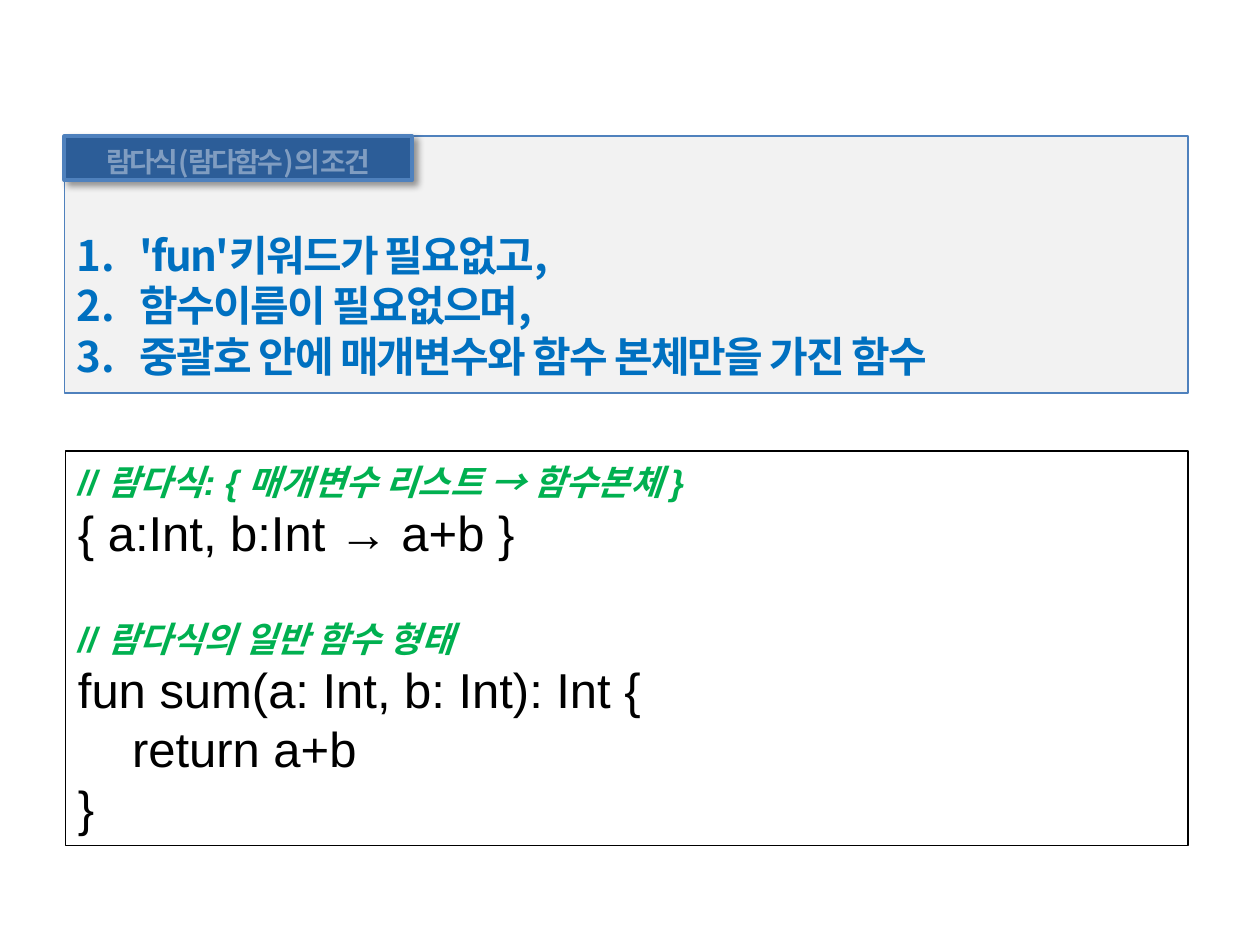
import pptx
import pptx.util
import pptx.dml.color
import pptx.enum.shapes
import pptx.enum.text
import pptx.oxml
import pptx.oxml.ns

KOREAN, LATIN = "Noto Sans CJK KR", "Arial"
ANCHOR = pptx.enum.text.MSO_ANCHOR
ALIGN = pptx.enum.text.PP_ALIGN

HEADING = "람다식(람다함수)의 조건"
CONDITIONS = [
    "'fun'키워드가 필요없고,",
    "함수이름이 필요없으며,",
    "중괄호 안에 매개변수와 함수 본체만을 가진 함수",
]
# text, is a comment, space before (pt), left indent (in)
CODE = [
    ("// 람다식: { 매개변수 리스트 → 함수본체 }", True, 0, 0),
    ("{ a:Int, b:Int → a+b }", False, 0, 0),
    ("// 람다식의 일반 함수 형태", True, 32, 0),
    ("fun sum(a: Int, b: Int): Int {", False, 0, 0),
    ("return a+b", False, 0, 0.43),
    ("}", False, 0, 0),
]

# left, top, width, height in inches
LEFT, WIDTH = 0.51, 8.92
LIST_BOX = (LEFT, 1.08, WIDTH, 2.04)
HEADING_BOX = (LEFT, 1.08, 2.76, 0.35)
CODE_BOX = (LEFT + 0.01, 3.58, WIDTH - 0.01, 3.13)


def rgb(value):
    return pptx.dml.color.RGBColor.from_string(value)


def xml(tag, attributes="", inner=""):
    ns = pptx.oxml.ns.nsdecls("a")
    return pptx.oxml.parse_xml(f"<a:{tag} {ns} {attributes}>{inner}</a:{tag}>")


def style_box(sp, box, fill, line, width, anchor):
    sp.left, sp.top, sp.width, sp.height = map(pptx.util.Inches, box)
    sp.fill.solid()
    sp.fill.fore_color.rgb = rgb(fill)
    sp.line.color.rgb = rgb(line)
    sp.line.width = pptx.util.Pt(width)
    tf = sp.text_frame
    tf.word_wrap = True
    tf.auto_size = pptx.enum.text.MSO_AUTO_SIZE.NONE
    tf.vertical_anchor = anchor
    return tf


def style_text(p, size, color, bold, italic=False, font=KOREAN, spacing=0):
    for r in p.runs:
        f = r.font
        f.size, f.bold, f.italic, f.name = pptx.util.Pt(size), bold, italic, font
        f.color.rgb = rgb(color)
        props = r._r.get_or_add_rPr()
        props.append(xml("ea", f'typeface="{KOREAN}"'))
        if spacing:
            props.set("spc", str(int(spacing * 100)))


prs = pptx.Presentation()
prs.slide_width, prs.slide_height = pptx.util.Inches(10), pptx.util.Inches(7.5)
s = prs.slides.add_slide(prs.slide_layouts[1])
title, body = s.shapes.title, s.placeholders[1]

# Numbered conditions
tf = style_box(body, LIST_BOX, "F2F2F2", "4F81BD", 0.75, ANCHOR.BOTTOM)
tf.margin_bottom = pptx.util.Inches(0.1)
tf.text = "\n".join(CONDITIONS)
for p in tf.paragraphs:
    p.space_before = pptx.util.Pt(0)
    style_text(p, 24, "0070C0", True, spacing=-1)
    props = p._p.get_or_add_pPr()
    hang = pptx.util.Inches(0.5)
    props.set("marL", str(hang))
    props.set("indent", str(-hang))
    props.append(xml("buFont", 'typeface="+mj-lt"'))
    props.append(xml("buAutoNum", 'type="arabicPeriod"'))

# Heading label, in front of the list box
body.element.addnext(title.element)
tf = style_box(title, HEADING_BOX, "2C5D98", "4F81BD", 2, ANCHOR.MIDDLE)
tf.word_wrap = False
tf.text = HEADING
p = tf.paragraphs[0]
p.alignment, p.line_spacing = ALIGN.CENTER, 1.2
style_text(p, 16, "FFFFFF", True, spacing=-1.5)
for color in p._p.iter(pptx.oxml.ns.qn("a:srgbClr")):
    color.append(xml("alpha", 'val="40000"'))
shadow = ('<a:outerShdw blurRad="50800" dist="38100" dir="2700000" algn="tl">'
          '<a:srgbClr val="000000"><a:alpha val="40000"/></a:srgbClr></a:outerShdw>')
title.element.spPr.append(xml("effectLst", inner=shadow))

# Code example
sp = s.shapes.add_shape(pptx.enum.shapes.MSO_SHAPE.RECTANGLE, 0, 0, 0, 0)
sp.shadow.inherit = False
tf = style_box(sp, CODE_BOX, "FFFFFF", "000000", 0.75, ANCHOR.MIDDLE)
tf.text = "\n".join(line[0] for line in CODE)
for p, (_, comment, before, indent) in zip(tf.paragraphs, CODE):
    p.alignment = ALIGN.LEFT
    p.space_before = pptx.util.Pt(before)
    p._p.get_or_add_pPr().set("marL", str(pptx.util.Inches(indent)))
    size, color = (20, "00B050") if comment else (28, "000000")
    style_text(p, size, color, comment, comment, LATIN)

prs.save("out.pptx")
